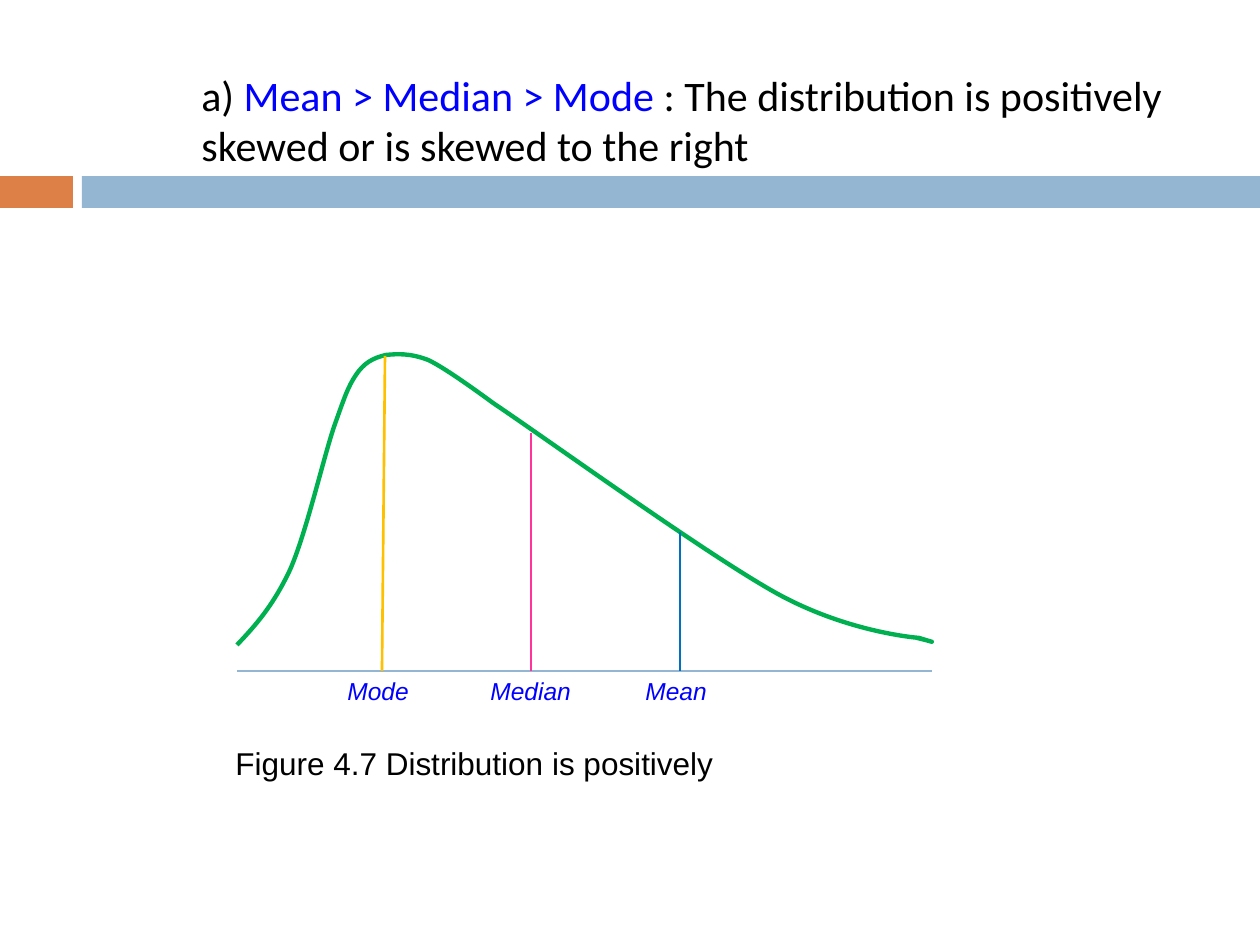
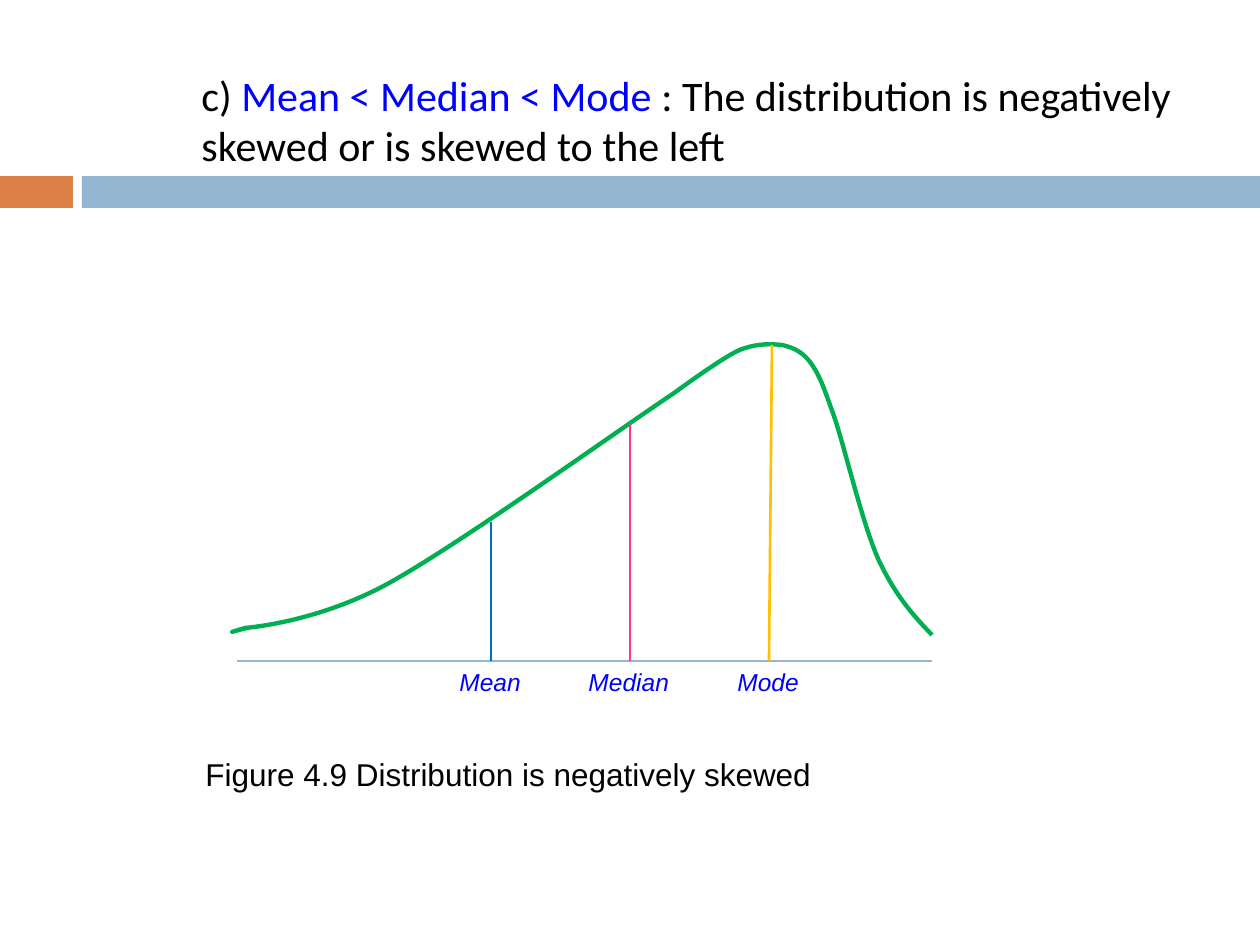
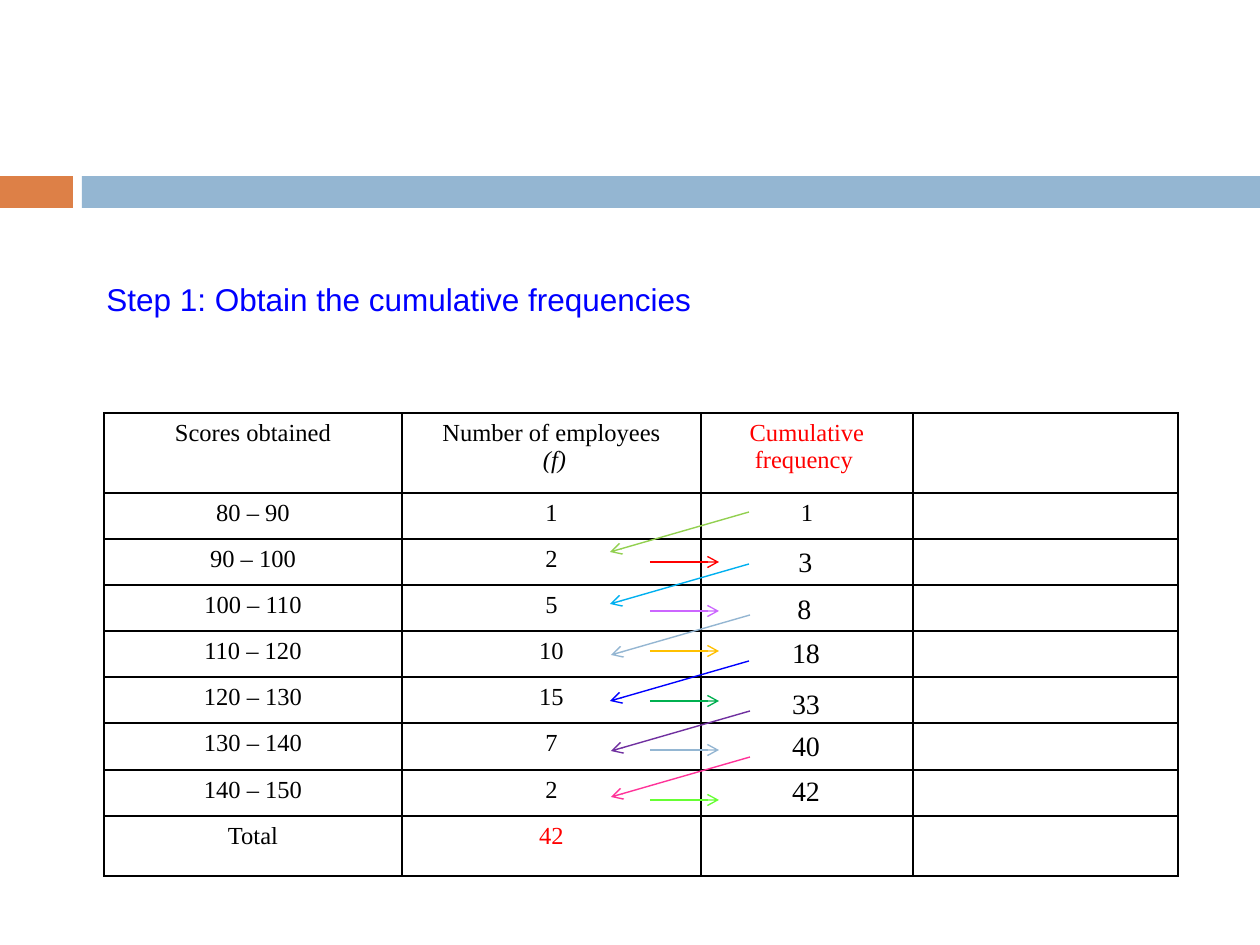
"""Build three slides on skewed distributions and cumulative frequencies."""
import lxml.etree
import pptx
import pptx.dml.color
import pptx.enum.shapes
import pptx.enum.text
import pptx.oxml.ns
import pptx.util

PX = 914400 / 126
RGB = pptx.dml.color.RGBColor.from_string
ALIGN = pptx.enum.text.PP_ALIGN
ANCHOR = pptx.enum.text.MSO_ANCHOR
qn = pptx.oxml.ns.qn
sub = lxml.etree.SubElement

THEME = {
    "colors": {
        "black": "000000", "blue": "0000FF", "red": "FF0000", "orange": "DD8047",
        "steel": "94B6D2", "green": "00B050", "gold": "FFC000", "pink": "FF3399",
        "navy": "0070C0", "lime": "92D050", "sky": "00B0F0", "purple": "7030A0",
        "violet": "CC66FF", "neon": "66FF33",
    },
    "fonts": {
        "title": {"name": "Calibri", "size": pptx.util.Pt(24)},
        "caption": {"name": "Arial", "size": pptx.util.Pt(18)},
        "label": {"name": "Arial", "size": pptx.util.Pt(14), "italic": True},
        "cell": {"name": "Times New Roman", "size": pptx.util.Pt(14), "bold": False},
        "sum": {"name": "Times New Roman", "size": pptx.util.Pt(16)},
    },
    "frames": {
        "title": {"word_wrap": True, "vertical_anchor": ANCHOR.MIDDLE},
        "label": {"word_wrap": True, "vertical_anchor": ANCHOR.TOP},
        "caption": {"word_wrap": False, "vertical_anchor": ANCHOR.TOP},
        "sum": {"word_wrap": False, "vertical_anchor": ANCHOR.TOP},
    },
    "lines": {"thin": 0.79, "marker": 1.5, "curve": 2.5, "border": 1},
}
COLORS = {name: RGB(value) for name, value in THEME["colors"].items()}


def add_text(s, box, runs, style, align=ALIGN.LEFT):
    tf = s.shapes.add_textbox(*[round(v * PX) for v in box]).text_frame
    for key, value in THEME["frames"][style].items():
        setattr(tf, key, value)
    p = tf.paragraphs[0]
    p.alignment = align
    for text, color in runs:
        r = p.add_run()
        r.text = text
        r.font.color.rgb = COLORS[color]
        for key, value in THEME["fonts"][style].items():
            setattr(r.font, key, value)
    return p


def add_line(s, ends, color, width, arrow=False):
    line = s.shapes.add_connector(
        pptx.enum.shapes.MSO_CONNECTOR.STRAIGHT, *[round(v * PX) for v in ends])
    line.line.color.rgb = COLORS[color]
    line.line.width = pptx.util.Pt(THEME["lines"][width])
    if arrow:
        sub(line.line._get_or_add_ln(), qn("a:tailEnd"), type="arrow")
    sub(line._element.spPr, qn("a:effectLst"))


prs = pptx.Presentation()
prs.slide_width = round(1260 * PX)
prs.slide_height = round(945 * PX)
slides = []
for _ in range(3):
    s = prs.slides.add_slide(prs.slide_layouts[6])
    for left, width, color in [(0, 73, "orange"), (82, 1178, "steel")]:
        sp = s.shapes.add_shape(
            pptx.enum.shapes.MSO_SHAPE.RECTANGLE,
            *[round(v * PX) for v in (left, 176, width, 32)])
        sp.shadow.inherit = False
        sp.fill.solid()
        sp.fill.fore_color.rgb = COLORS[color]
        sp.line.fill.background()
    slides.append(s)

CURVE = [
    (237, 645), (256, 625), (273, 606), (290, 570), (306, 534), (323, 460),
    (334, 427), (345, 396), (348, 387), (356, 375), (364, 363), (373, 358),
    (386, 355), (397, 354), (410, 353), (428, 360), (446, 368), (493, 403),
    (493, 403), (551, 442), (706, 554), (776, 593), (848, 633), (919, 638),
    (919, 638), (942, 645), (930, 641), (917, 638),
]
MIRRORED = [(932 - 1.007 * (x - 237), y - 10) for x, y in CURVE]

distributions = [
    {
        "title": ("a) ", "Mean > Median > Mode ",
                  ": The distribution is positively skewed or is skewed to the right"),
        "curve": CURVE, "box": (237, 354, 931, 645), "base": 671,
        "markers": [(385, 356, 382, "gold"), (531, 433, 531, "pink"), (680, 532, 680, "navy")],
        "labels": ("Mode", "Median", "Mean"), "tabs": (12, 155, 310),
        "label_box": (323, 670, 407, 43),
        "caption": ("Figure 4.7 Distribution is positively", (223, 738, 508, 50)),
    },
    {
        "title": ("c) ", "Mean < Median < Mode ",
                  ": The distribution is negatively skewed or is skewed to the left"),
        "curve": MIRRORED, "box": (233, 344, 932, 635), "base": 661,
        "markers": [(772, 345, 769, "gold"), (630, 423, 630, "pink"), (491, 522, 491, "navy")],
        "labels": ("Mean", "Median", "Mode"), "tabs": (14, 143, 292),
        "label_box": (433, 661, 394, 43),
        "caption": ("Figure 4.9 Distribution is negatively skewed", (193, 749, 636, 50)),
    },
]
for s, d in zip(slides, distributions):
    add_text(s, (189, 41, 1008, 157), zip(d["title"], ("black", "blue", "black")), "title")
    left, top, right, bottom = [round(v * PX) for v in d["box"]]
    builder = s.shapes.build_freeform(left, top)
    builder.add_line_segments([(right, bottom)], close=False)
    sp = builder.convert_to_shape()
    outline = next(sp._element.iter(qn("a:path")))
    for child in list(outline):
        outline.remove(child)
    segments = [("a:moveTo", d["curve"][:1])]
    segments += [("a:cubicBezTo", d["curve"][i:i + 3]) for i in range(1, len(d["curve"]), 3)]
    for tag, knots in segments:
        segment = sub(outline, qn(tag))
        for x, y in knots:
            sub(segment, qn("a:pt"), x=str(round(x * PX) - left), y=str(round(y * PX) - top))
    sp.shadow.inherit = False
    sp.fill.background()
    sp.line.color.rgb = COLORS["green"]
    sp.line.width = pptx.util.Pt(THEME["lines"]["curve"])
    add_line(s, (237, d["base"], 932, d["base"]), "steel", "thin")
    for x, y, foot, color in d["markers"]:
        add_line(s, (x, y, foot, d["base"]), color, "marker")
    labels = "".join("\t" + name for name in d["labels"])
    p = add_text(s, d["label_box"], [(labels, "blue")], "label")
    tabs = sub(p._p.get_or_add_pPr(), qn("a:tabLst"))
    for tab in d["tabs"]:
        sub(tabs, qn("a:tab"), pos=str(round(tab * PX)), algn="l")
    caption, box = d["caption"]
    add_text(s, box, [(caption, "black")], "caption")

s = slides[2]
rows = [
    ("Scores obtained", "Number of employees\n (f)", "Cumulative\nfrequency ", ""),
    ("80 – 90", "1", "1", ""),
    ("90 – 100", "2", "", ""),
    ("100 – 110", "5", "", ""),
    ("110 – 120", "10", "", ""),
    ("120 – 130", "15", "", ""),
    ("130 – 140", "7", "", ""),
    ("140 – 150", "2", "", ""),
    ("Total", "42", "", ""),
]
red_cells = {(0, 2), (8, 1)}
widths = [298, 299, 212, 265]
heights = [80] + [46] * 5 + [47, 46, 60]
table = s.shapes.add_table(
    len(rows), len(widths),
    *[round(v * PX) for v in (104, 413, sum(widths), sum(heights))]).table
for key in ("first_row", "horz_banding"):
    setattr(table, key, False)
for column, width in zip(table.columns, widths):
    column.width = round(width * PX)
for row, height in zip(table.rows, heights):
    row.height = round(height * PX)
for i, row in enumerate(rows):
    for j, text in enumerate(row):
        cell = table.cell(i, j)
        tcPr = cell._tc.get_or_add_tcPr()
        for side in "LRTB":
            ln = sub(tcPr, qn("a:ln" + side), w=str(pptx.util.Pt(THEME["lines"]["border"])))
            fill = sub(ln, qn("a:solidFill"))
            sub(fill, qn("a:srgbClr"), val=THEME["colors"]["black"])
        cell.fill.background()
        cell.text = text
        for p in cell.text_frame.paragraphs:
            p.alignment = ALIGN.CENTER
            for r in p.runs:
                for key, value in THEME["fonts"]["cell"].items():
                    setattr(r.font, key, value)
                r.font.italic = r.text == " (f)"
                r.font.color.rgb = COLORS["red" if (i, j) in red_cells else "black"]
            if not text:
                sub(p._p, qn("a:endParaRPr"), sz="1400")

carries = [(610, 512, "lime"), (610, 564, "sky"), (611, 615, "steel"),
           (610, 661, "blue"), (611, 711, "purple"), (611, 757, "pink")]
for x, y, color in carries:
    add_line(s, (x + 139, y, x, y + 40), color, "thin", arrow=True)
additions = zip((562, 611, 651, 701, 750, 800),
                ("red", "violet", "gold", "green", "steel", "neon"))
for y, color in additions:
    add_line(s, (650, y, 719, y), color, "thin", arrow=True)
sums = [("3", 786, 538, 39), ("8", 785, 585, 39), ("18", 779, 629, 54),
        ("33", 779, 680, 54), ("40", 779, 722, 54), ("42", 779, 767, 54)]
for total, left, top, width in sums:
    add_text(s, (left, top, width, 47), [(total, "black")], "sum", ALIGN.CENTER)
add_text(s, (94, 274, 616, 50), [("Step 1: Obtain the cumulative frequencies", "blue")], "caption")

prs.save("out.pptx")
